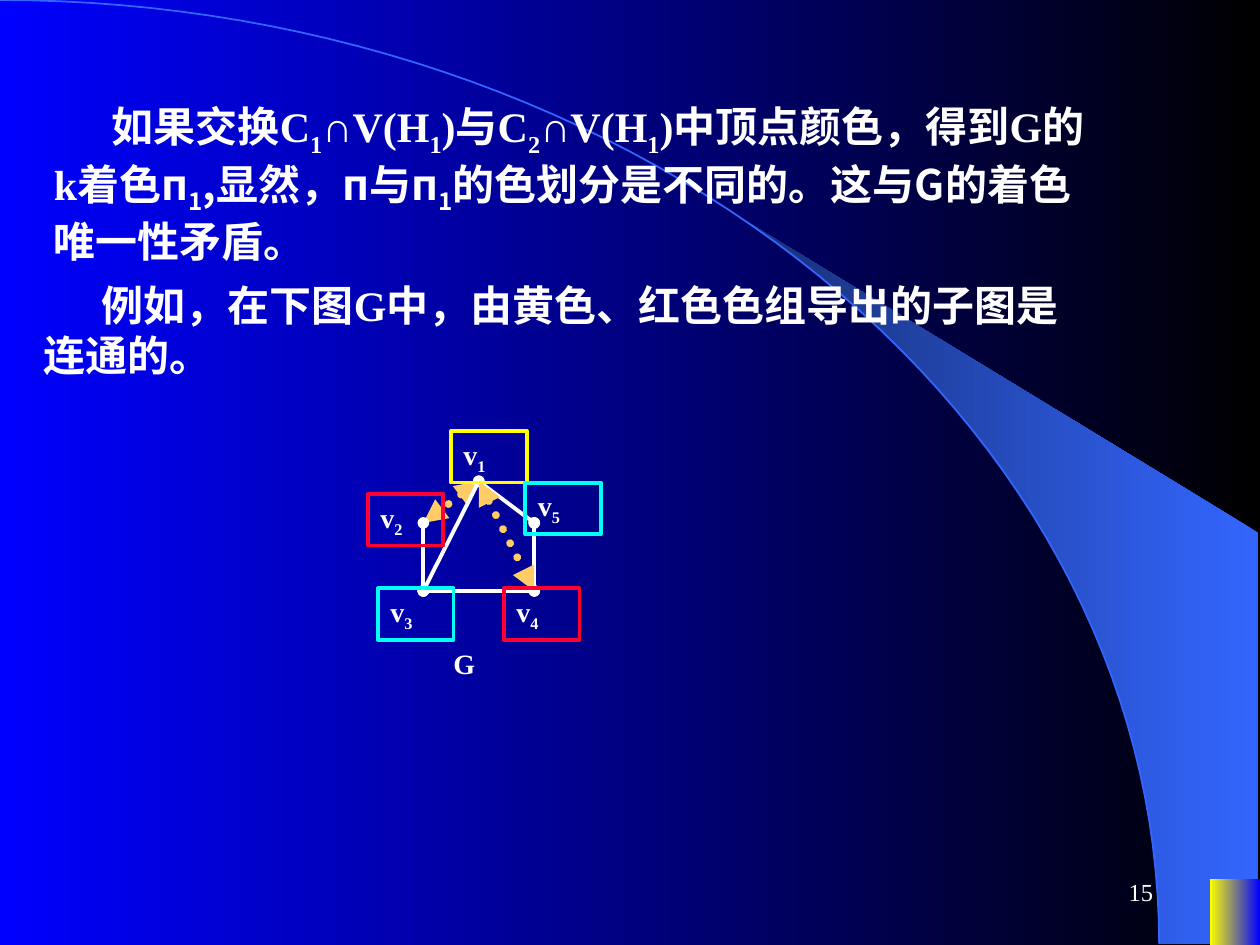
import dataclasses
import math

import pptx
import pptx.dml.color
import pptx.enum.dml
import pptx.enum.shapes
import pptx.enum.text
import pptx.oxml
import pptx.oxml.ns
import pptx.util
from pptx.util import Inches


def rgb(value):
    return pptx.dml.color.RGBColor.from_string(value)


@dataclasses.dataclass(frozen=True)
class Theme:
    white: str = "FFFFFF"
    black: str = "000000"
    blue: str = "0000FF"
    arc: str = "3366FF"
    arc_dark: str = "172F75"
    yellow: str = "FFFF00"
    red: str = "FF0033"
    cyan: str = "00FFFF"
    swap: str = "FFCC66"
    body: int = 24
    label: int = 16
    number: int = 14
    latin: str = "Times New Roman"
    cjk: str = "Noto Sans CJK SC"


theme = Theme()
qn = pptx.oxml.ns.qn


def write(shape, segments, size, bold=True, indent=0):
    frame = shape.text_frame
    frame.word_wrap = True
    frame.vertical_anchor = pptx.enum.text.MSO_ANCHOR.TOP
    paragraph = frame.paragraphs[0]
    paragraph.alignment = pptx.enum.text.PP_ALIGN.LEFT
    properties = paragraph._p.get_or_add_pPr()
    if indent:
        properties.set("indent", str(Inches(indent)))
    paragraph.font.size = pptx.util.Pt(size)
    paragraph.font.bold = bold
    paragraph.font.color.rgb = rgb(theme.white)
    fonts = {font for _, font in segments}
    if len(fonts) == 1:
        paragraph.font.name = segments[0][1]
    east_asian = properties.find(qn("a:defRPr")).makeelement(qn("a:ea"), {"typeface": theme.cjk})
    properties.find(qn("a:defRPr")).append(east_asian)
    for text, font in segments:
        for position, part in enumerate(text.split("_")):
            pieces = [(part[:1], True), (part[1:], False)] if position else [(part, False)]
            for piece, lowered in pieces:
                if not piece:
                    continue
                run = paragraph.add_run()
                run.text = piece
                if len(fonts) > 1:
                    run.font.name = font
                if lowered:
                    run._r.get_or_add_rPr().set("baseline", "-25000")
    return paragraph


deck = pptx.Presentation()
deck.slide_width, deck.slide_height = Inches(10), Inches(7.5)
slide = deck.slides.add_slide(deck.slide_layouts[6])
shapes = slide.shapes

arc_width, arc_height = 9.2, 7.49
wedge_start = math.asin(5.89 / arc_width)
angles = [math.pi / 2 * step / 60 for step in range(61)]
wedge_angles = [wedge_start + (math.pi / 2 - wedge_start) * step / 30 for step in range(31)]
arc_points, edge_points = [
    [(Inches(arc_width * math.sin(angle)), Inches(arc_height * (1 - math.cos(angle)))) for angle in sweep]
    for sweep in (angles, wedge_angles)
]
corner_points = [(Inches(9.99), Inches(7.49)), (Inches(9.99), Inches(4.23))]

wedge_builder = shapes.build_freeform(*edge_points[0])
wedge_builder.add_line_segments(edge_points[1:] + corner_points, close=True)
wedge = wedge_builder.convert_to_shape()

arc_builder = shapes.build_freeform(*arc_points[0])
arc_builder.add_line_segments(arc_points[1:], close=False)
arc = arc_builder.convert_to_shape()
arc.shadow.inherit = False
arc.fill.background()
arc.line.color.rgb = rgb(theme.arc)
arc.line.width = pptx.util.Pt(1)

corner = shapes.add_shape(
    pptx.enum.shapes.MSO_SHAPE.RECTANGLE, Inches(9.6), Inches(6.98), Inches(0.4), Inches(0.52)
)
for panel in (wedge, corner):
    panel.shadow.inherit = False
    panel.line.fill.background()

for fill, first, last in [
    (slide.background.fill, theme.black, theme.blue),
    (wedge.fill, theme.arc, theme.arc_dark),
    (corner.fill, theme.blue, theme.yellow),
]:
    fill.gradient()
    fill.gradient_angle = 180
    for stop, color, position in zip(fill.gradient_stops, (first, last), (0, 1)):
        stop.color.rgb = rgb(color)
        stop.position = position

argument = [
    ("如果交换C_1∩V(H_1)与C_2∩V(H_1)中顶点颜色，得到G的k着色", theme.latin),
    ("п_1,显然，п与п_1的色划分是不同的。这与G的着色唯一性矛盾。", theme.cjk),
]
example = [("例如，在下图G中，由黄色、红色色组导出的子图是连通的。", theme.latin)]
for left, top, height, segments in [(0.33, 0.75, 1.41, argument), (0.25, 2.17, 0.9, example)]:
    passage = shapes.add_textbox(Inches(left), Inches(top), Inches(8.5), Inches(height))
    write(passage, segments, theme.body, indent=0.46)

vertices = {1: (3.8, 3.82), 2: (3.36, 4.15), 3: (3.36, 4.69), 4: (4.24, 4.69), 5: (4.24, 4.15)}
swapped = {(1, 2), (1, 4)}
for start, end in [(1, 2), (5, 1), (2, 3), (4, 5), (3, 4), (1, 3), (1, 4)]:
    edge = shapes.add_connector(
        pptx.enum.shapes.MSO_CONNECTOR.STRAIGHT,
        *(Inches(value) for value in vertices[start] + vertices[end]),
    )
    dotted = (start, end) in swapped
    edge.line.color.rgb = rgb(theme.swap if dotted else theme.white)
    edge.line.width = pptx.util.Pt(4.5 if dotted else 2.25)
    outline = edge.line._get_or_add_ln()
    if dotted:
        edge.line.dash_style = pptx.enum.dml.MSO_LINE.ROUND_DOT
        outline.set("cap", "rnd")
    for tag in ("a:headEnd", "a:tailEnd"):
        outline.append(outline.makeelement(qn(tag), {"type": "triangle" if dotted else "oval"}))
    outline.getparent().append(outline.makeelement(qn("a:effectLst"), {}))

for vertex, left, top, color in [
    (1, 3.58, 3.42, theme.yellow),
    (5, 4.17, 3.83, theme.cyan),
    (4, 4, 4.67, theme.red),
    (3, 3, 4.67, theme.cyan),
    (2, 2.92, 3.92, theme.red),
]:
    label = shapes.add_shape(
        pptx.enum.shapes.MSO_SHAPE.RECTANGLE, Inches(left), Inches(top), Inches(0.6), Inches(0.41)
    )
    label.shadow.inherit = False
    label.fill.background()
    label.line.color.rgb = rgb(color)
    label.line.width = pptx.util.Pt(2.25)
    write(label, [(f"v_{vertex}", theme.latin)], theme.label)

graph_name = shapes.add_textbox(Inches(3.5), Inches(5.08), Inches(0.6), Inches(0.37))
write(graph_name, [("G", theme.latin)], theme.label)

page_number = shapes.add_textbox(Inches(7.17), Inches(6.83), Inches(2.08), Inches(0.5))
number_line = write(page_number, [("15", theme.latin)], theme.number, bold=False)
number_line.alignment = pptx.enum.text.PP_ALIGN.RIGHT
page_number.text_frame.vertical_anchor = pptx.enum.text.MSO_ANCHOR.MIDDLE

deck.save("out.pptx")
